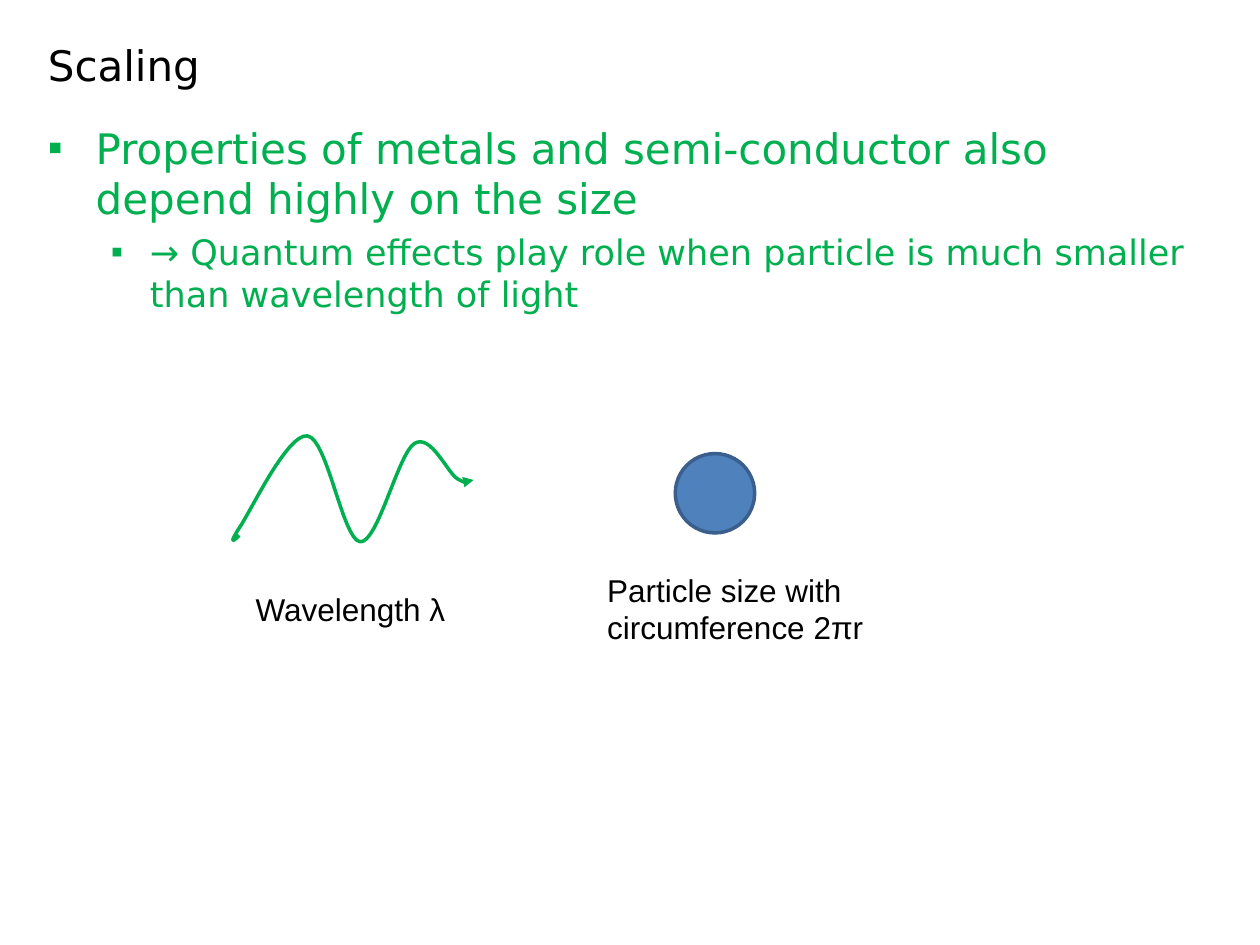
from lxml.etree import SubElement
from pptx import Presentation
from pptx.dml.color import RGBColor
from pptx.enum.shapes import MSO_SHAPE as Shape
from pptx.enum.text import MSO_ANCHOR as Anchor, MSO_AUTO_SIZE as Fit, PP_ALIGN as Align
from pptx.oxml.ns import qn
from pptx.util import Inches, Pt

BLACK = RGBColor(0x00, 0x00, 0x00)
GREEN = RGBColor(0x00, 0xB0, 0x50)
BLUE = RGBColor(0x4F, 0x81, 0xBD)
NAVY = RGBColor(0x3A, 0x5F, 0x8C)

# Wave: start point, then two controls and an end point per curve
START = (1.9, 4.25)
CURVES = [
    ((1.86, 4.29), (1.81, 4.33), (1.9, 4.19)),
    ((1.99, 4.06), (2.28, 3.44), (2.44, 3.46)),
    ((2.6, 3.48), (2.72, 4.29), (2.86, 4.3)),
    ((3, 4.31), (3.16, 3.6), (3.29, 3.52)),
    ((3.42, 3.44), (3.55, 3.75), (3.63, 3.8)),
    ((3.71, 3.85), (3.74, 3.83), (3.76, 3.81)),
]


def trace(start, curves, steps=16):
    """Points along a chain of cubic Bezier curves."""
    points = [start]
    for one, two, end in curves:
        for i in range(1, steps + 1):
            t = i / steps
            u = 1 - t
            points.append(tuple(
                u**3 * a + 3 * u * u * t * b + 3 * u * t * t * c + t**3 * d
                for a, b, c, d in zip(start, one, two, end)))
        start = end
    return points


class Deck:
    head_font = "DejaVu Sans"
    label_font = "Arial"
    line_width = Pt(2)

    def __init__(self):
        self.prs = Presentation()
        self.prs.slide_width, self.prs.slide_height = Inches(10), Inches(7.5)
        self.slide = self.prs.slides.add_slide(self.prs.slide_layouts[1])

    def place(self, shape, left, top, width, height):
        shape.left, shape.top = Inches(left), Inches(top)
        shape.width, shape.height = Inches(width), Inches(height)

    def style(self, par, font, size, color):
        par.alignment = Align.LEFT
        for run in par.runs:
            run.font.name, run.font.size = font, Pt(size)
            run.font.color.rgb = color

    def title(self, text, *box):
        shape = self.slide.shapes.title
        self.place(shape, *box)
        frame = shape.text_frame
        frame.text = text
        frame.auto_size = Fit.NONE
        frame.vertical_anchor = Anchor.MIDDLE
        self.style(frame.paragraphs[0], self.head_font, 24, BLACK)

    def bullets(self, items, *box):
        shape = self.slide.placeholders[1]
        self.place(shape, *box)
        frame = shape.text_frame
        frame.text = "\n".join(text for text, *_ in items)
        frame.auto_size = Fit.NONE
        for i, (par, item) in enumerate(zip(frame.paragraphs, items)):
            _, level, size, left, hang = item
            par.level = level
            par.space_before = Pt(0.2 * size if i else 0)
            props = par._p.get_or_add_pPr()
            props.set("marL", str(Inches(left)))
            props.set("indent", str(-Inches(hang)))
            SubElement(props, qn("a:buChar")).set("char", "▪")
            self.style(par, self.head_font, size, GREEN)

    def label(self, text, *box):
        shape = self.slide.shapes.add_textbox(*map(Inches, box))
        frame = shape.text_frame
        frame.word_wrap = True
        frame.auto_size = Fit.SHAPE_TO_FIT_TEXT
        frame.text = text
        self.style(frame.paragraphs[0], self.label_font, 18, BLACK)

    def circle(self, left, top, size):
        shape = self.slide.shapes.add_shape(
            Shape.OVAL, Inches(left), Inches(top), Inches(size), Inches(size))
        shape.shadow.inherit = False
        shape.fill.solid()
        shape.fill.fore_color.rgb = BLUE
        shape.line.color.rgb = NAVY
        shape.line.width = self.line_width

    def wave(self, points):
        points = [(Inches(x), Inches(y)) for x, y in points]
        pen = self.slide.shapes.build_freeform(*points[0])
        pen.add_line_segments(points[1:], close=False)
        shape = pen.convert_to_shape()
        shape.shadow.inherit = False
        shape.fill.background()
        shape.line.color.rgb = GREEN
        shape.line.width = self.line_width
        # Arrowhead at the end
        SubElement(shape.line._get_or_add_ln(), qn("a:tailEnd")).set("type", "triangle")


def main():
    deck = Deck()
    # Heading and list
    deck.title("Scaling", 0.28, 0.21, 9.45, 0.6)
    deck.bullets([
        ("Properties of metals and semi-conductor also depend highly on the size",
         0, 24, 0.38, 0.38),
        ("→ Quantum effects play role when particle is much smaller than wavelength of light",
         1, 20, 0.81, 0.31),
    ], 0.28, 0.92, 9.45, 5.51)
    # Particle and light wave
    deck.circle(5.36, 3.6, 0.63)
    deck.wave(trace(START, CURVES))
    # Labels
    deck.label("Wavelength λ", 1.93, 4.63, 2.76, 0.4)
    deck.label("Particle size with circumference 2πr", 4.72, 4.48, 2.76, 0.71)
    deck.prs.save("out.pptx")


if __name__ == "__main__":
    main()
